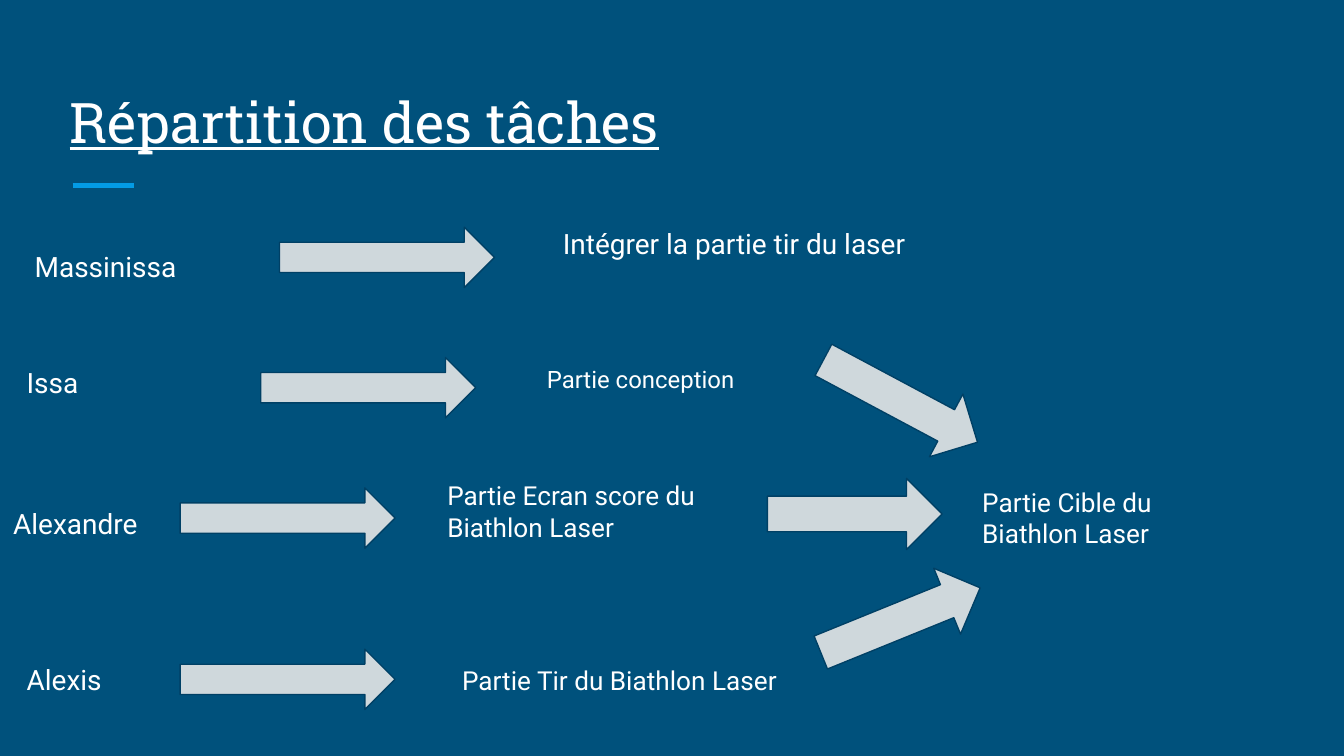
from lxml import etree
from pptx import Presentation
from pptx import util as u
from pptx.dml.color import RGBColor
from pptx.enum import shapes, text
from pptx.oxml import ns

NAVY = RGBColor(0x00, 0x51, 0x7C)
EDGE = RGBColor(0x00, 0x40, 0x65)
BLUE = RGBColor(0x03, 0x9B, 0xE5)
GREY = RGBColor(0xCF, 0xD8, 0xDC)
WHITE = RGBColor(0xFF, 0xFF, 0xFF)

BODY = {"line_spacing": 1.15, "space_after": u.Pt(12)}
PLAIN = {"line_spacing": 1.0}

# Row top, then name, arrow and task offsets from the row's left and top.
ROWS = [
    (1.55, ("Massinissa", 0.16, 0.17, 1.92, BODY), (2.08, 0.14),
     ("Intégrer la partie tir du laser", 4.09, 0, 4.37, 15, BODY)),
    (2.58, ("Issa", 0.1, 0, 1.6, BODY), (1.94, 0.08),
     ("Partie conception", 3.97, 0, 1.6, 12.8, BODY)),
    (3.47, ("Alexandre", 0, 0.16, 1.6, BODY), (1.34, 0.16),
     ("Partie Ecran score du Biathlon Laser", 3.23, 0, 2.63, 14, PLAIN)),
    (4.83, ("Alexis", 0.1, 0, 1.92, PLAIN), (1.34, 0),
     ("Partie Tir du Biathlon Laser", 3.34, 0.01, 2.67, 14, PLAIN)),
]


def inches(*sizes):
    return [u.Inches(size) for size in sizes]


def assign(item, style):
    for key, value in style.items():
        setattr(item, key, value)


def add_text(slide, words, box, size, style, face="Roboto",
             anchor=text.MSO_ANCHOR.TOP, underline=None):
    frame = slide.shapes.add_textbox(*inches(*box)).text_frame
    edge = u.Inches(0.1)
    assign(frame, {"word_wrap": True, "vertical_anchor": anchor,
                   "margin_left": edge, "margin_right": edge,
                   "margin_top": edge, "margin_bottom": edge})
    para = frame.paragraphs[0]
    assign(para, style)
    run = para.add_run()
    run.text = words
    assign(run.font, {"name": face, "size": u.Pt(size), "underline": underline})
    run.font.color.rgb = WHITE


def add_arrow(slide, box, angle=0):
    arrow = slide.shapes.add_shape(shapes.MSO_SHAPE.RIGHT_ARROW, *inches(*box))
    arrow.rotation = angle
    arrow.shadow.inherit = False
    arrow.fill.solid()
    arrow.fill.fore_color.rgb = GREY
    arrow.line.color.rgb = EDGE
    arrow.line.width = u.Pt(0.75)


def add_title(slide, left, top, width, height):
    add_text(slide, "Répartition des tâches", (left, top, width, height), 30,
             PLAIN, "Roboto Slab", text.MSO_ANCHOR.BOTTOM, True)
    start, level = left + 0.12, top + 0.88
    rule = slide.shapes.add_connector(
        shapes.MSO_CONNECTOR.STRAIGHT, *inches(start, level, start + 0.46, level))
    rule.line.color.rgb = BLUE
    rule.line.width = u.Pt(3)
    etree.SubElement(rule._element.spPr, ns.qn("a:effectLst"))


def add_row(slide, left, top, name, shaft, task):
    """Place a person, an arrow and that person's task."""
    words, x, y, width, style = name
    add_text(slide, words, (left + x, top + y, width, 0.61), 15, style)
    x, y = shaft
    add_arrow(slide, (left + x, top + y, 1.6, 0.45))
    words, x, y, width, size, style = task
    add_text(slide, words, (left + x, top + y, width, 0.61), size, style)


def add_goal(slide, left, top):
    """Place the three arrows that meet at the shared goal."""
    for x, y, width, angle in [(0.34, 0, 1.3, 28.1), (0, 0.84, 1.3, 0),
                               (0.35, 1.63, 1.28, 337.9)]:
        add_arrow(slide, (left + x, top + y, width, 0.53), angle)
    add_text(slide, "Partie Cible du Biathlon Laser",
             (left + 1.5, top + 0.8, 2.2, 0.67), 14, PLAIN)


def main():
    deck = Presentation()
    deck.slide_width = u.Inches(10)
    deck.slide_height = deck.slide_width * 9 // 16
    slide = deck.slides.add_slide(deck.slide_layouts[6])
    slide.background.fill.solid()
    slide.background.fill.fore_color.rgb = NAVY
    add_title(slide, 0.42, 0.5, 9.15, 0.75)
    for top, name, shaft, task in ROWS:
        add_row(slide, 0, top, name, shaft, task)
    add_goal(slide, 5.71, 2.72)
    deck.save("out.pptx")


if __name__ == "__main__":
    main()
